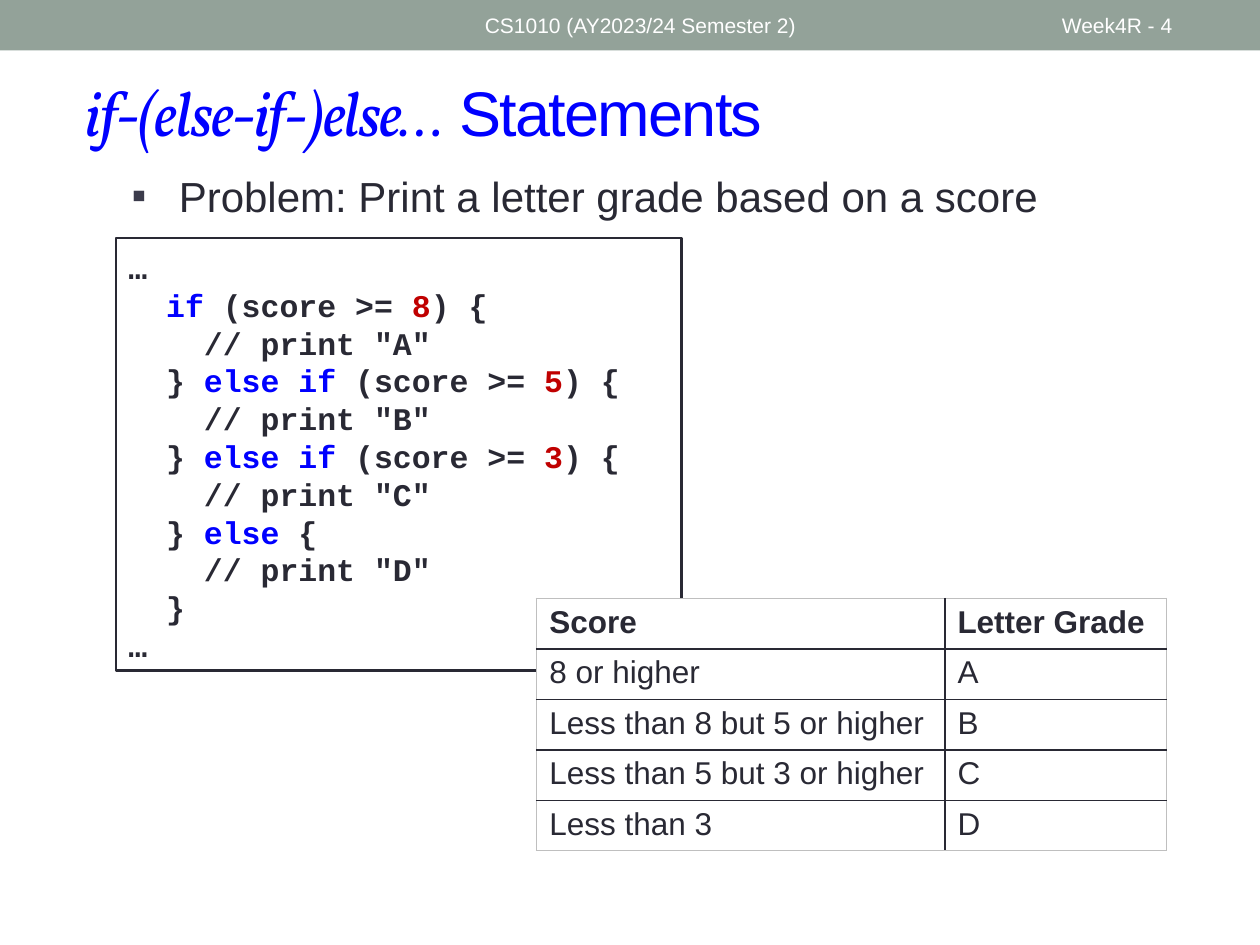
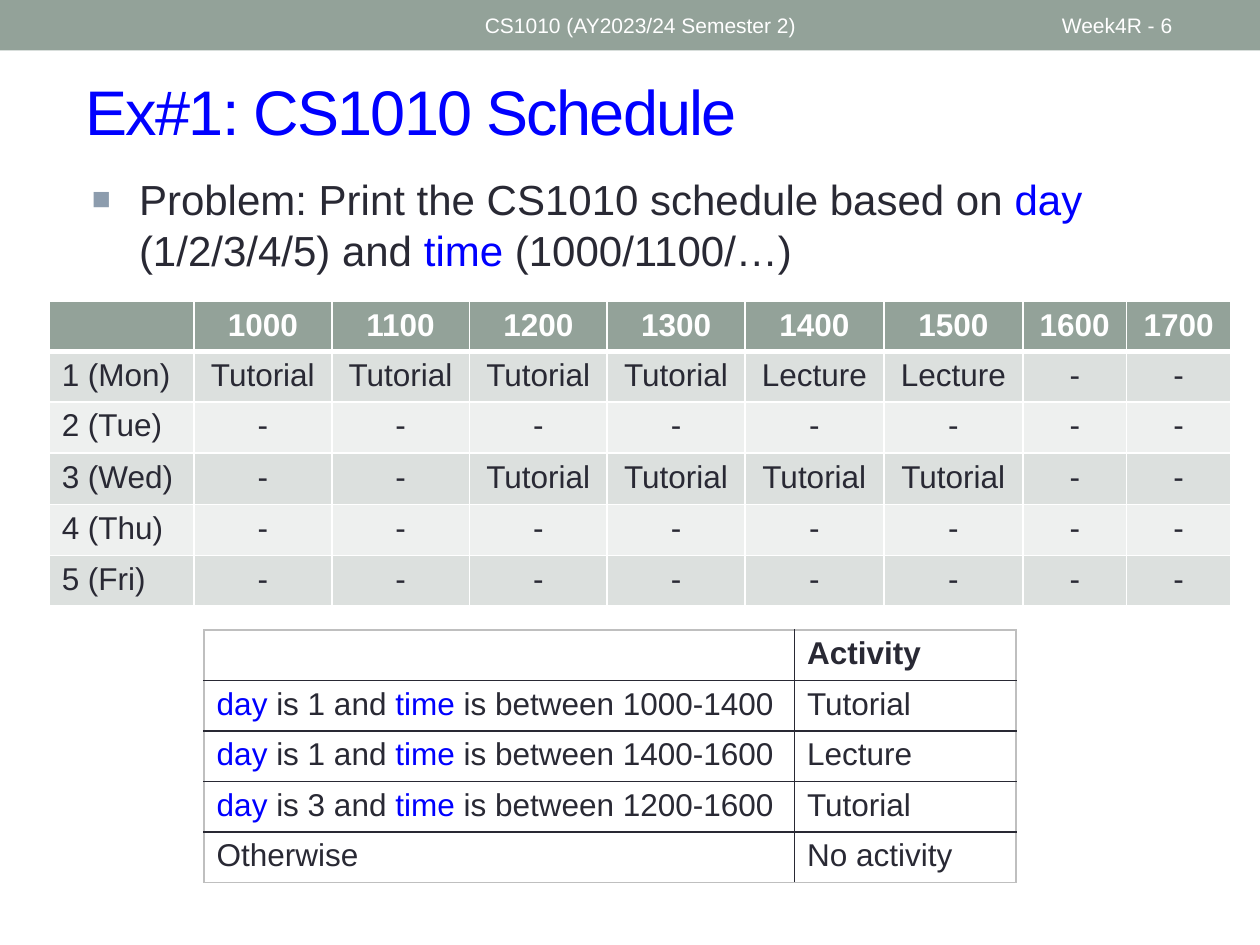
from dataclasses import dataclass
from typing import NamedTuple

from lxml import etree
from pptx import Presentation
from pptx.dml.color import RGBColor
from pptx.enum import shapes, text
from pptx.oxml import ns
from pptx.util import Pt

# Shared style
SAGE, INK, BLUE, RED, WHITE = "93A299", "292934", "0000FF", "C00000", "FFFFFF"
BAND_DARK, BAND_LIGHT, FRAME_GREY = "DCE0DE", "EEF0EF", "BFBFBF"
SLATE, STEEL = "3B3B4B", "8C9CAD"
SANS, MONO, SERIF = "Arial", "Courier New", "Vollkorn"
TITLE_ONLY = 5


class Part(NamedTuple):
    """A piece of text; color, font and italic replace the line's own."""
    text: str
    color: str | None = None
    font: str | None = None
    italic: bool = False


class Box(NamedTuple):
    left: float
    top: float
    width: float
    height: float

    def points(self):
        return [Pt(length) for length in self]


class Bullet(NamedTuple):
    symbol: str
    color: str
    indent: float
    size: int = 100


@dataclass
class TableStyle:
    fills: list[str]          # header, then the body fills in turn
    header_color: str
    line: str
    frame: str
    header_rule: float = 1
    centered: bool = False


GRID = TableStyle([WHITE, WHITE], INK, INK, FRAME_GREY)
BANDED = TableStyle([SAGE, BAND_DARK, BAND_LIGHT], WHITE, WHITE, WHITE,
                    header_rule=3, centered=True)


def rgb(color: str) -> RGBColor:
    return RGBColor.from_string(color)


def blue(words: str) -> Part:
    return Part(words, BLUE)


def red(words: str) -> Part:
    return Part(words, RED)


# Text
def write(paragraph, content, *, size=18, color=INK, font=SANS, bold=False,
          align=text.PP_ALIGN.LEFT, spacing=None, tracking=None) -> None:
    """Write a string, or a list of strings and Parts, into a paragraph."""
    paragraph.alignment = align
    if spacing:
        paragraph.line_spacing = Pt(spacing)
    for piece in [content] if isinstance(content, str) else content:
        part = Part(piece) if isinstance(piece, str) else piece
        run = paragraph.add_run()
        run.text = part.text
        run.font.name = part.font or font
        run.font.size = Pt(size)
        run.font.bold = bold
        run.font.italic = part.italic
        run.font.color.rgb = rgb(part.color or color)
        if tracking:
            run._r.get_or_add_rPr().set("spc", str(tracking * 100))


def add_text(slide, box: Box, content, *, anchor=text.MSO_ANCHOR.TOP, **style):
    frame = slide.shapes.add_textbox(*box.points()).text_frame
    frame.word_wrap = True
    frame.vertical_anchor = anchor
    write(frame.paragraphs[0], content, **style)
    return frame


def add_bullet_text(slide, box: Box, bullet: Bullet, content) -> None:
    frame = add_text(slide, box, content, size=24)
    properties = frame.paragraphs[0]._p.get_or_add_pPr()
    properties.set("marL", str(Pt(bullet.indent)))
    properties.set("indent", str(-Pt(27)))
    color = etree.SubElement(properties, ns.qn("a:buClr"))
    etree.SubElement(color, ns.qn("a:srgbClr"), val=bullet.color)
    etree.SubElement(properties, ns.qn("a:buSzPct"), val=str(bullet.size * 1000))
    etree.SubElement(properties, ns.qn("a:buFont"), typeface=SANS)
    etree.SubElement(properties, ns.qn("a:buChar"), char=bullet.symbol)


# Shapes
def add_rectangle(slide, box: Box, fill: str, line: str | None = None):
    shape = slide.shapes.add_shape(shapes.MSO_SHAPE.RECTANGLE, *box.points())
    shape.shadow.inherit = False
    shape.fill.solid()
    shape.fill.fore_color.rgb = rgb(fill)
    if line:
        shape.line.color.rgb = rgb(line)
        shape.line.width = Pt(1.5)
    else:
        shape.line.fill.background()
    return shape


def add_code(slide, box: Box, lines) -> None:
    frame = add_rectangle(slide, box, WHITE, INK).text_frame
    frame.word_wrap = True
    frame.vertical_anchor = text.MSO_ANCHOR.TOP
    frame.margin_top = Pt(5.6)
    for index, line in enumerate(lines):
        paragraph = frame.add_paragraph() if index else frame.paragraphs[0]
        write(paragraph, line, font=MONO, bold=True, spacing=21.6)


# Tables
def set_borders(cell, borders: dict[str, tuple[str, float]]) -> None:
    """Draw borders given by side; they stand before the fill in the cell."""
    properties = cell._tc.get_or_add_tcPr()
    for index, side in enumerate("LRTB"):
        color, width = borders[side]
        line = etree.Element(ns.qn(f"a:ln{side}"), w=str(Pt(width)))
        fill = etree.SubElement(line, ns.qn("a:solidFill"))
        etree.SubElement(fill, ns.qn("a:srgbClr"), val=color)
        properties.insert(index, line)


def add_table(slide, left: float, top: float, widths: list[float],
              heights: list[float], rows, style: TableStyle) -> None:
    box = Box(left, top, sum(widths), sum(heights))
    table = slide.shapes.add_table(len(rows), len(widths), *box.points()).table
    table.first_row = table.horz_banding = False
    for column, width in zip(table.columns, widths):
        column.width = Pt(width)
    for row, height in zip(table.rows, heights):
        row.height = Pt(height)

    header_fill, *body_fills = style.fills
    last_row, last_column = len(rows) - 1, len(widths) - 1
    for r, row in enumerate(rows):
        for c, content in enumerate(row):
            cell = table.cell(r, c)
            cell.fill.solid()
            cell.fill.fore_color.rgb = rgb(
                body_fills[(r - 1) % len(body_fills)] if r else header_fill)
            if content:
                centered = style.centered and c > 0
                write(cell.text_frame.paragraphs[0], content, bold=r == 0,
                      color=INK if r else style.header_color,
                      align=text.PP_ALIGN.CENTER if centered
                      else text.PP_ALIGN.LEFT)
            at_edge = {"L": c == 0, "R": c == last_column,
                       "T": r == 0, "B": r == last_row}
            rules = {"T": r == 1, "B": r == 0}
            set_borders(cell, {
                side: (style.frame if edge else style.line,
                       style.header_rule if rules.get(side) else 1)
                for side, edge in at_edge.items()})


# Slide frame: band, header texts and title
def add_slide(presentation, number: int, title, title_box: Box):
    slide = presentation.slides.add_slide(presentation.slide_layouts[TITLE_ONLY])
    add_rectangle(slide, Box(0, 0, 720, 28.8), SAGE)
    for left, width, words in [(270, 324, "CS1010 (AY2023/24 Semester 2)"),
                               (599.76, 84.24, f"Week4R - {number}")]:
        add_text(slide, Box(left, 1.44, width, 25.92), words, size=12,
                 color=WHITE, anchor=text.MSO_ANCHOR.MIDDLE)
    shape = slide.shapes.title
    shape.left, shape.top, shape.width, shape.height = title_box.points()
    frame = shape.text_frame
    frame.auto_size = text.MSO_AUTO_SIZE.NONE
    frame.vertical_anchor = text.MSO_ANCHOR.MIDDLE
    write(frame.paragraphs[0], title, size=36, color=BLUE, tracking=-1)
    return slide


def build_statements_slide(presentation) -> None:
    title = [Part("if-(else-if-)else…", font=SERIF, italic=True), " Statements"]
    slide = add_slide(presentation, 4, title, Box(41.76, 30.24, 660, 66.24))
    add_bullet_text(slide, Box(46.08, 93.6, 648, 40), Bullet("▪", SLATE, 49),
                    "Problem: Print a letter grade based on a score")

    # Code with one branch for each grade
    code = ["…"]
    for opening, keyword, limit, grade in [("  ", "if", "8", "A"),
                                           ("  } ", "else if", "5", "B"),
                                           ("  } ", "else if", "3", "C")]:
        code += [[opening, blue(keyword), " (score >= ", red(limit), ") {"],
                 f'    // print "{grade}"']
    code += [["  } ", blue("else "), "{"], '    // print "D"', "  }", "…"]
    add_code(slide, Box(66.24, 136.08, 323.28, 246.96), code)

    grades = [("Score", "Letter Grade"),
              ("8 or higher", "A"),
              ("Less than 8 but 5 or higher", "B"),
              ("Less than 5 but 3 or higher", "C"),
              ("Less than 3", "D")]
    add_table(slide, 306.72, 342, [233.28, 126.72], [28.8] * 5, grades, GRID)


def build_schedule_slide(presentation) -> None:
    slide = add_slide(presentation, 6, "Ex#1: CS1010 Schedule",
                      Box(41.76, 36, 661.68, 54))
    add_bullet_text(slide, Box(45.36, 95.76, 658.8, 72),
                    Bullet("■", STEEL, 27, size=75),
                    ["Problem: Print the CS1010 schedule based on ",
                     blue("day "), "(1/2/3/4/5) and ", blue("time "),
                     "(1000/1100/…)"])

    # Week timetable
    tutorial, lecture, free = ["Tutorial"], ["Lecture"], ["-"]
    timetable = [["", *(str(hour) for hour in range(1000, 1800, 100))],
                 ["1 (Mon)"] + tutorial * 4 + lecture * 2 + free * 2,
                 ["2 (Tue)"] + free * 8,
                 ["3 (Wed)"] + free * 2 + tutorial * 4 + free * 2,
                 ["4 (Thu)"] + free * 8,
                 ["5 (Fri)"] + free * 8]
    add_table(slide, 28.08, 172.08,
              [82.8] + [78.7] * 4 + [79.4] * 2 + [59.4] * 2,
              [27.4] * 2 + [29.2] * 3 + [27.4], timetable, BANDED)

    # Rules behind the timetable
    rules = [("", "Activity")]
    for day, hours, activity in [(1, "1000-1400", "Tutorial"),
                                 (1, "1400-1600", "Lecture"),
                                 (3, "1200-1600", "Tutorial")]:
        rules.append(([blue("day"), f" is {day} and ", blue("time"),
                       f" is between {hours}"], activity))
    rules.append(("Otherwise", "No activity"))
    add_table(slide, 116.64, 360, [337.4, 126.7], [27.4] * 5, rules, GRID)


def main() -> None:
    presentation = Presentation()
    presentation.slide_width, presentation.slide_height = Pt(720), Pt(540)
    build_statements_slide(presentation)
    build_schedule_slide(presentation)
    presentation.save("out.pptx")


if __name__ == "__main__":
    main()
